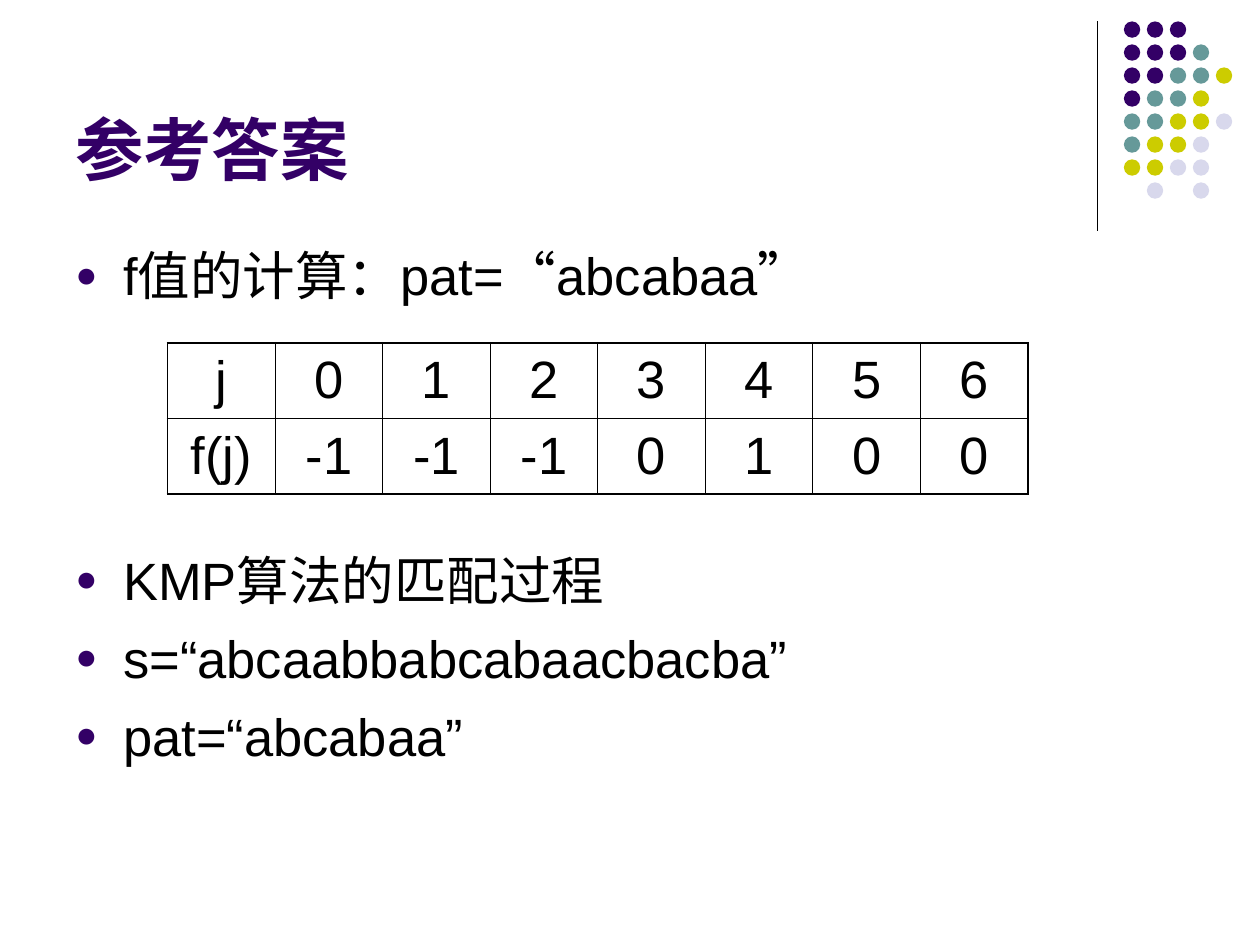
"""Build the reference answer slide with the failure function table for KMP matching."""
import lxml.etree
import pptx
import pptx.dml.color
import pptx.enum.shapes
import pptx.enum.text
import pptx.oxml.ns
import pptx.util

Inches = pptx.util.Inches
Pt = pptx.util.Pt
qn = pptx.oxml.ns.qn

COLORS = {
    "purple": "330066",
    "teal": "669999",
    "lime": "CCCC00",
    "lavender": "D8D8EC",
    "black": "000000",
}
FONT = "Arial"
TITLE = "参考答案"
BULLETS = [
    ("f值的计算：pat=“abcabaa”", 0),
    ("KMP算法的匹配过程", 138),
    ("s=“abcaabbabcabaacbacba”", 8.6),
    ("pat=“abcabaa”", 8.6),
]
TABLE_ROWS = [
    ["j", "0", "1", "2", "3", "4", "5", "6"],
    ["f(j)", "-1", "-1", "-1", "0", "1", "0", "0"],
]
DOT_ROWS = ["PPP", "PPPT", "PPTTL", "PTTL", "TTLLV", "TLLV", "LLVV", " V V"]
DOT_COLORS = {"P": "purple", "T": "teal", "L": "lime", "V": "lavender"}
DOT_LEFT, DOT_TOP, DOT_SIZE = 8.92, 0.17, 0.13
DOT_PITCH = 0.73 / 4
TABLE_LEFT, TABLE_TOP = 1.33, 2.72
COLUMN_WIDTH, ROW_HEIGHT = 6.83 / 8, 0.6
OUTER_BORDER, INNER_BORDER = 1.08, 0.45


def rgb(name):
    return pptx.dml.color.RGBColor.from_string(COLORS[name])


def add_run(paragraph, text, size, color, bold=False):
    run = paragraph.add_run()
    run.text = text
    run.font.name = FONT
    run.font.size = Pt(size)
    run.font.bold = bold
    run.font.color.rgb = rgb(color)


def add_text_box(slide, left, top, width, height, anchor):
    box = slide.shapes.add_textbox(Inches(left), Inches(top), Inches(width), Inches(height))
    frame = box.text_frame
    frame.word_wrap = True
    frame.vertical_anchor = anchor
    return frame


def add_bullet(paragraph):
    properties = paragraph._p.get_or_add_pPr()
    properties.set("marL", str(Inches(0.38)))
    properties.set("indent", str(-Inches(0.38)))
    color = lxml.etree.SubElement(properties, qn("a:buClr"))
    lxml.etree.SubElement(color, qn("a:srgbClr"), val=COLORS["purple"])
    lxml.etree.SubElement(properties, qn("a:buSzPct"), val="70000")
    lxml.etree.SubElement(properties, qn("a:buFont"), typeface=FONT)
    lxml.etree.SubElement(properties, qn("a:buChar"), char="●")


def set_borders(cell, widths):
    properties = cell._tc.get_or_add_tcPr()
    for position, (side, width) in enumerate(widths.items()):
        line = lxml.etree.Element(qn("a:ln" + side), w=str(Pt(width)))
        fill = lxml.etree.SubElement(line, qn("a:solidFill"))
        lxml.etree.SubElement(fill, qn("a:srgbClr"), val=COLORS["black"])
        properties.insert(position, line)


def add_decoration(slide):
    divider = slide.shapes.add_connector(
        pptx.enum.shapes.MSO_CONNECTOR.STRAIGHT,
        Inches(8.71), Inches(0.17), Inches(8.71), Inches(1.83))
    divider.line.color.rgb = rgb("black")
    divider.line.width = Pt(0.75)
    lxml.etree.SubElement(divider._element.spPr, qn("a:effectLst"))
    for row, codes in enumerate(DOT_ROWS):
        for column, code in enumerate(codes):
            if code == " ":
                continue
            dot = slide.shapes.add_shape(
                pptx.enum.shapes.MSO_SHAPE.OVAL,
                Inches(DOT_LEFT + column * DOT_PITCH), Inches(DOT_TOP + row * DOT_PITCH),
                Inches(DOT_SIZE), Inches(DOT_SIZE))
            dot.shadow.inherit = False
            dot.fill.solid()
            dot.fill.fore_color.rgb = rgb(DOT_COLORS[code])
            dot.line.fill.background()


def add_failure_table(slide):
    row_count, column_count = len(TABLE_ROWS), len(TABLE_ROWS[0])
    table = slide.shapes.add_table(
        row_count, column_count, Inches(TABLE_LEFT), Inches(TABLE_TOP),
        Inches(COLUMN_WIDTH * column_count), Inches(ROW_HEIGHT * row_count)).table
    table.first_row = False
    table.horz_banding = False
    for row, values in enumerate(TABLE_ROWS):
        for column, value in enumerate(values):
            cell = table.cell(row, column)
            cell.fill.background()
            cell.vertical_anchor = pptx.enum.text.MSO_ANCHOR.MIDDLE
            paragraph = cell.text_frame.paragraphs[0]
            paragraph.alignment = pptx.enum.text.PP_ALIGN.CENTER
            add_run(paragraph, value, 30, "black")
            outer_sides = {
                "L": column == 0,
                "R": column == column_count - 1,
                "T": row == 0,
                "B": row == row_count - 1,
            }
            set_borders(cell, {side: OUTER_BORDER if outer else INNER_BORDER
                               for side, outer in outer_sides.items()})


def main():
    presentation = pptx.Presentation()
    presentation.slide_width = Inches(10)
    presentation.slide_height = Inches(7.5)
    slide = presentation.slides.add_slide(presentation.slide_layouts[6])
    add_decoration(slide)

    title = add_text_box(slide, 0.5, 0.13, 8.25, 1.42, pptx.enum.text.MSO_ANCHOR.BOTTOM)
    add_run(title.paragraphs[0], TITLE, 39, "purple", bold=True)

    body = add_text_box(slide, 0.5, 1.88, 9, 4.82, pptx.enum.text.MSO_ANCHOR.TOP)
    for index, (text, space_before) in enumerate(BULLETS):
        paragraph = body.add_paragraph() if index else body.paragraphs[0]
        add_bullet(paragraph)
        paragraph.space_before = Pt(space_before)
        add_run(paragraph, text, 30, "black")

    add_failure_table(slide)
    presentation.save("out.pptx")


if __name__ == "__main__":
    main()
